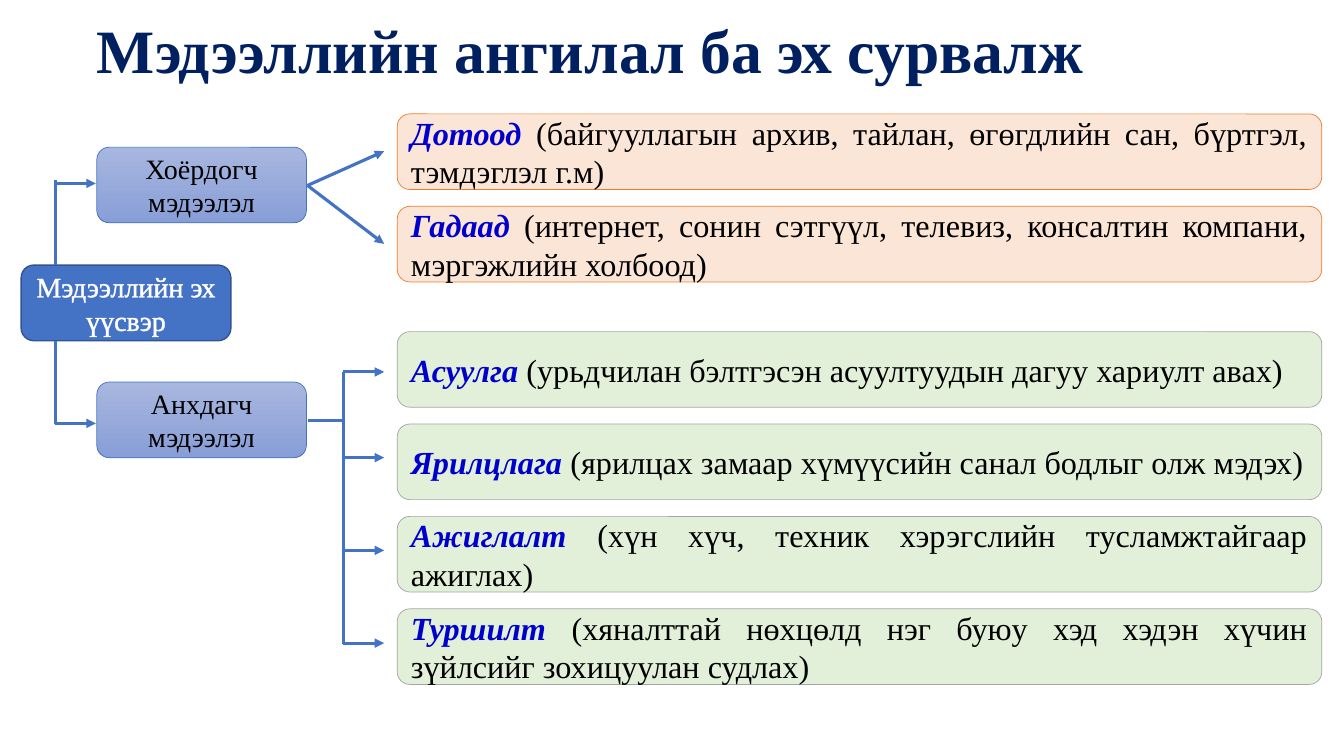
from dataclasses import dataclass

from lxml.etree import SubElement
from pptx import Presentation
from pptx.dml.color import RGBColor
from pptx.enum.shapes import MSO_CONNECTOR, MSO_SHAPE
from pptx.enum.text import MSO_ANCHOR, PP_ALIGN
from pptx.oxml import parse_xml
from pptx.oxml.ns import nsdecls, qn
from pptx.shapes.autoshape import Shape
from pptx.slide import Slide
from pptx.util import Inches, Pt

COLORS = {
    "title": "002060", "blue": "4472C4", "navy": "325491",
    "gradient_top": "A8B7DF", "gradient_bottom": "889ED7",
    "peach": "FBE5D6", "orange": "ED7D31", "green": "E2F0D9", "gray": "A5A5A5",
    "term": "0000CC", "black": "000000", "white": "FFFFFF",
}
FORMATS = {
    "title": {"size": Pt(44), "bold": True},
    "node": {"size": Pt(20)},
    "term": {"size": Pt(23), "bold": True, "italic": True},
    "detail": {"size": Pt(23), "bold": False, "italic": False},
}
BOX_HEIGHT = 0.75
NODE_WIDTH = 2.08
SOURCE_LEFT, SOURCE_WIDTH = 3.94, 9.17
SOURCE_PITCH = 2.75 / 3
TRUNK_X, BRANCH_X, NODE_RIGHT, ARROW_END = 0.55, 3.4, 3.05, 3.81


@dataclass
class Node:
    text: str
    left: float
    top: float
    is_root: bool = False


@dataclass
class SourceGroup:
    top: float
    fill: str
    line: str
    sources: list[tuple[str, str]]


@dataclass
class Link:
    start: tuple[float, float]
    end: tuple[float, float]
    arrow: bool = True


NODES = [
    Node("Мэдээллийн эх үүсвэр", 0.21, 2.63, is_root=True),
    Node("Хоёрдогч мэдээлэл", 0.96, 1.46),
    Node("Анхдагч мэдээлэл", 0.96, 3.79),
]
SOURCE_GROUPS = [
    SourceGroup(1.13, "peach", "orange", [
        ("Дотоод ", "(байгууллагын архив, тайлан, өгөгдлийн сан, бүртгэл, тэмдэглэл г.м)"),
        ("Гадаад ", "(интернет, сонин сэтгүүл, телевиз, консалтин компани, мэргэжлийн холбоод)"),
    ]),
    SourceGroup(3.29, "green", "gray", [
        ("Асуулга ", "(урьдчилан бэлтгэсэн асуултуудын дагуу хариулт авах)"),
        ("Ярилцлага ", "(ярилцах замаар хүмүүсийн санал бодлыг олж мэдэх)"),
        ("Ажиглалт ", "(хүн хүч, техник хэрэгслийн тусламжтайгаар ажиглах)"),
        ("Туршилт ", "(хяналттай нөхцөлд нэг буюу хэд хэдэн хүчин зүйлсийг зохицуулан судлах)"),
    ]),
]
LINKS = [
    Link((TRUNK_X, 2.63), (TRUNK_X, 1.79), arrow=False),
    Link((TRUNK_X, 4.21), (TRUNK_X, 3.38), arrow=False),
    *[Link((TRUNK_X, y), (0.95, y)) for y in (1.82, 4.2)],
    *[Link((NODE_RIGHT, 1.84), (ARROW_END, y)) for y in (1.5, 2.42)],
    *[Link((BRANCH_X, y), (ARROW_END, y)) for y in (3.69, 4.54, 5.46, 6.38)],
    Link((3.41, 3.69), (3.41, 6.39), arrow=False),
    Link((NODE_RIGHT, 4.17), (BRANCH_X, 4.17), arrow=False),
]


def rgb(name: str) -> RGBColor:
    return RGBColor.from_string(COLORS[name])


def write_text(shape: Shape, runs: list[tuple[str, str, str]], alignment: PP_ALIGN) -> None:
    """Fill the shape with one paragraph of (text, format, color) runs."""
    frame = shape.text_frame
    frame.word_wrap = True
    frame.vertical_anchor = MSO_ANCHOR.MIDDLE
    paragraph = frame.paragraphs[0]
    paragraph.alignment = alignment
    for text, format_name, color in runs:
        run = paragraph.add_run()
        run.text = text
        run.font.name = "Times New Roman"
        run.font.color.rgb = rgb(color)
        for attribute, value in FORMATS[format_name].items():
            setattr(run.font, attribute, value)


def add_title(slide: Slide, text: str) -> None:
    title = slide.shapes.add_textbox(Inches(0.86), Inches(0.12), Inches(11.5), Inches(0.83))
    write_text(title, [(text, "title", "title")], PP_ALIGN.LEFT)
    title.text_frame.paragraphs[0].line_spacing = 0.9


def add_box(slide: Slide, left: float, top: float, width: float,
            line: str, line_width: float) -> Shape:
    shape = slide.shapes.add_shape(MSO_SHAPE.ROUNDED_RECTANGLE, Inches(left), Inches(top),
                                   Inches(width), Inches(BOX_HEIGHT))
    shape.shadow.inherit = False
    shape.line.color.rgb = rgb(line)
    shape.line.width = Pt(line_width)
    return shape


def fill_solid(shape: Shape, color: str) -> None:
    shape.fill.solid()
    shape.fill.fore_color.rgb = rgb(color)


def fill_gradient(shape: Shape) -> None:
    shape.fill.gradient()
    shape.fill.gradient_angle = 270
    for stop, color in zip(shape.fill.gradient_stops, ("gradient_top", "gradient_bottom")):
        stop.color.rgb = rgb(color)


def outline_text(shape: Shape, color: str, width: float) -> None:
    for run in shape.text_frame.paragraphs[0].runs:
        outline = parse_xml(
            f'<a:ln {nsdecls("a")} w="{Pt(width)}"><a:solidFill>'
            f'<a:srgbClr val="{COLORS[color]}"/></a:solidFill></a:ln>')
        run.font._element.insert(0, outline)


def add_node(slide: Slide, node: Node) -> None:
    line, line_width = ("navy", 1) if node.is_root else ("blue", 0.5)
    shape = add_box(slide, node.left, node.top, NODE_WIDTH, line, line_width)
    text_color = "white" if node.is_root else "black"
    write_text(shape, [(node.text, "node", text_color)], PP_ALIGN.CENTER)
    if node.is_root:
        fill_solid(shape, "blue")
        outline_text(shape, "white", 1.45)
    else:
        fill_gradient(shape)


def add_source_group(slide: Slide, group: SourceGroup) -> None:
    for index, (term, detail) in enumerate(group.sources):
        top = group.top + index * SOURCE_PITCH
        shape = add_box(slide, SOURCE_LEFT, top, SOURCE_WIDTH, group.line, 0.5)
        fill_solid(shape, group.fill)
        runs = [(term, "term", "term"), (detail, "detail", "black")]
        write_text(shape, runs, PP_ALIGN.JUSTIFY)


def add_link(slide: Slide, link: Link) -> None:
    points = [Inches(value) for value in (*link.start, *link.end)]
    connector = slide.shapes.add_connector(MSO_CONNECTOR.STRAIGHT, *points)
    connector.line.color.rgb = rgb("blue")
    connector.line.width = Pt(2.25)
    if link.arrow:
        SubElement(connector.line._get_or_add_ln(), qn("a:tailEnd"), type="triangle")
    SubElement(connector._element.spPr, qn("a:effectLst"))


def main() -> None:
    presentation = Presentation()
    presentation.slide_width = Inches(13.33)
    presentation.slide_height = Inches(7.5)
    slide = presentation.slides.add_slide(presentation.slide_layouts[6])
    add_title(slide, "Мэдээллийн ангилал ба эх сурвалж")
    for node in NODES:
        add_node(slide, node)
    for group in SOURCE_GROUPS:
        add_source_group(slide, group)
    for link in LINKS:
        add_link(slide, link)
    presentation.save("out.pptx")


if __name__ == "__main__":
    main()
